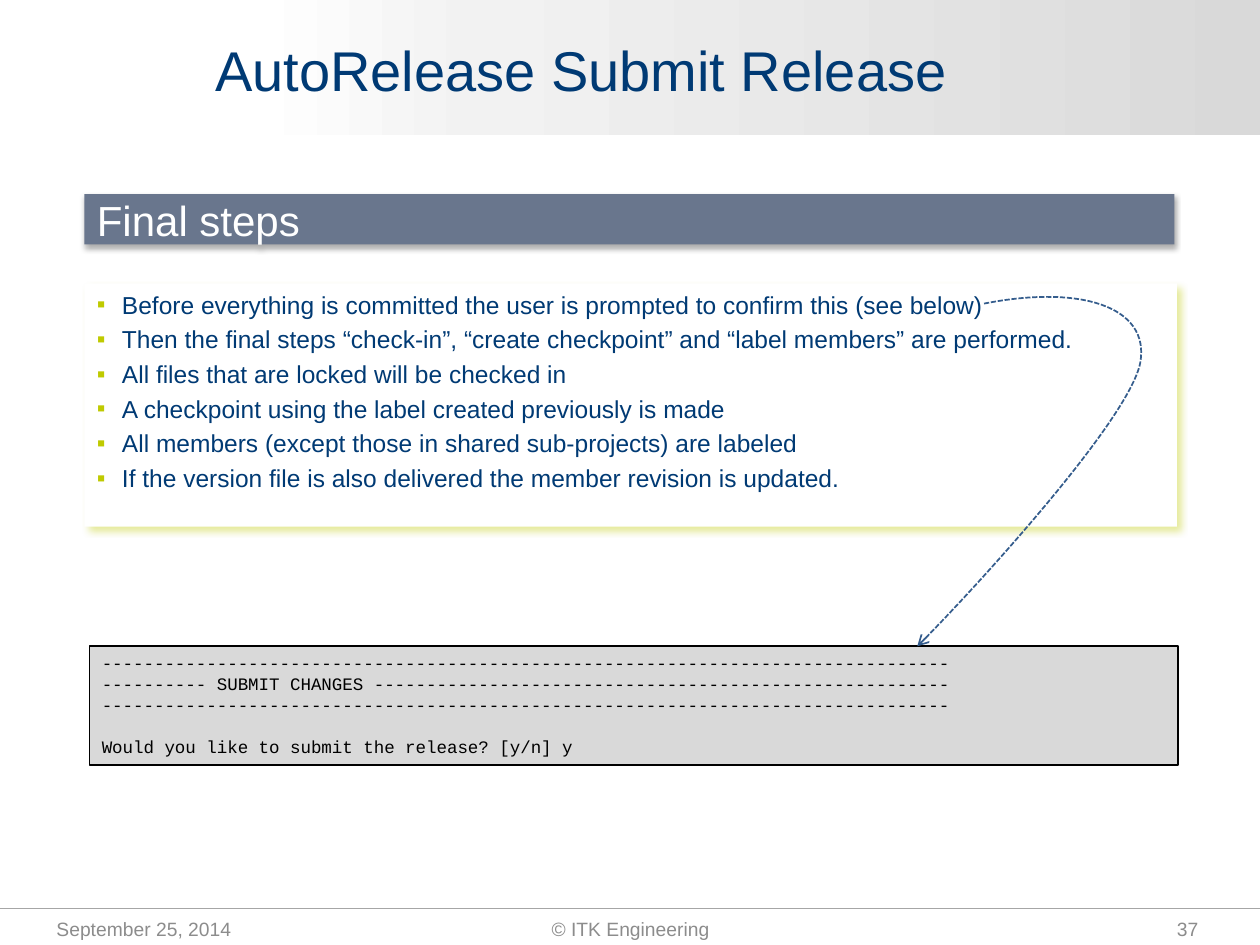
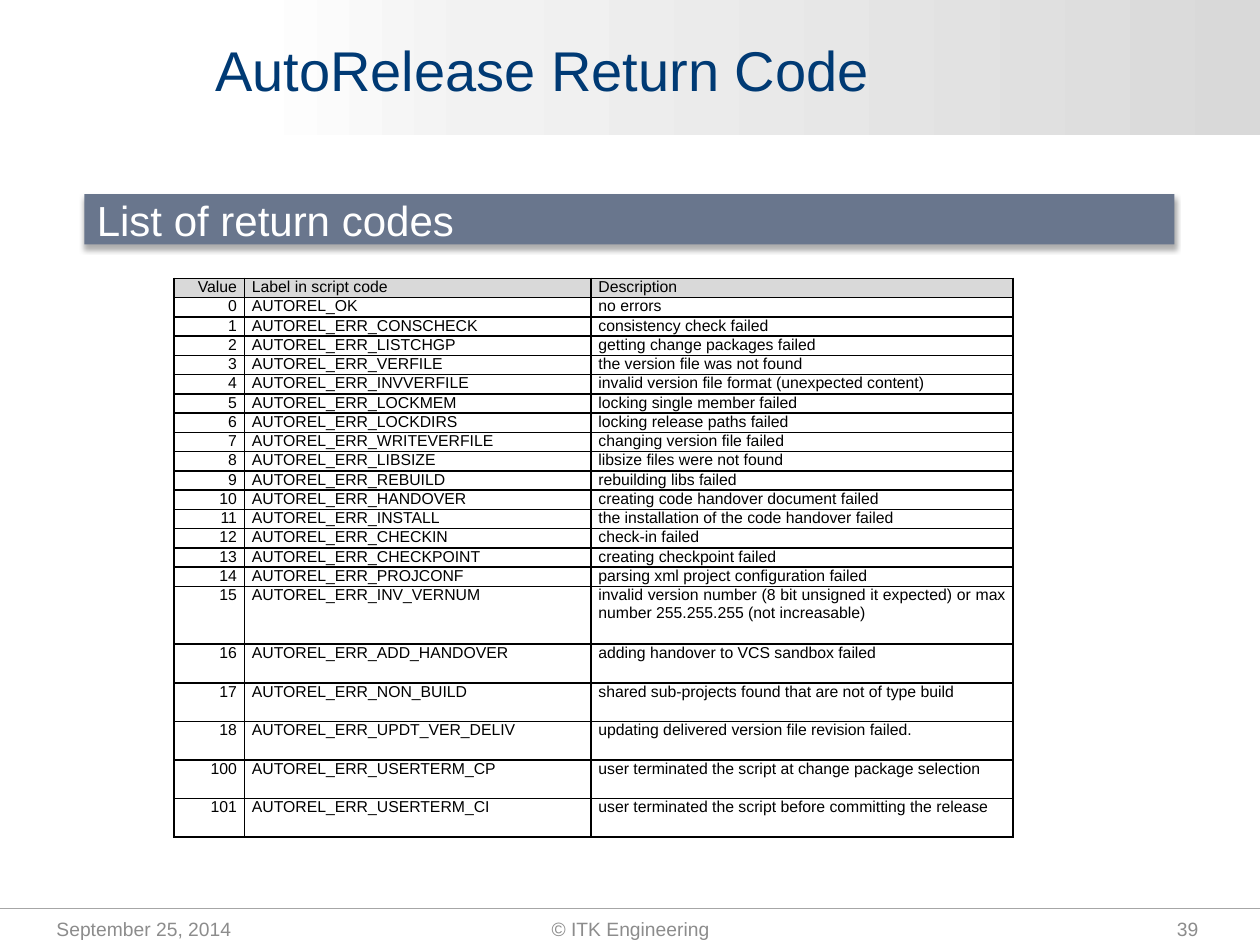
import copy
import dataclasses
import typing

import lxml.etree
import pptx
import pptx.dml.color
import pptx.enum.dml
import pptx.enum.shapes
import pptx.enum.text
import pptx.oxml.ns
import pptx.util

Inches = pptx.util.Inches
Pt = pptx.util.Pt
qn = pptx.oxml.ns.qn
ALIGN = pptx.enum.text.PP_ALIGN
ANCHOR = pptx.enum.text.MSO_ANCHOR
RECT = pptx.enum.shapes.MSO_SHAPE.RECTANGLE

NAVY, SLATE, LIME, BLUE = "003A74", "69768D", "BFCA00", "355D8D"
BLACK, WHITE, SILVER, GREY, RULE = "000000", "FFFFFF", "D9D9D9", "8C8C8C", "A6A6A6"


@dataclasses.dataclass(frozen=True)
class Box:
    left: float
    top: float
    width: float
    height: float

    def place(self) -> list:
        return [Inches(n) for n in dataclasses.astuple(self)]


@dataclasses.dataclass(frozen=True)
class Look:
    size: float
    ink: str
    face: str = "Arial"
    align: typing.Any = ALIGN.LEFT
    anchor: typing.Any = ANCHOR.MIDDLE
    pitch: typing.Optional[float] = None
    gap: float = 0
    bullet: str = ""


@dataclasses.dataclass(frozen=True)
class Shade:
    ink: str
    alpha: int
    blur: float
    dist: float
    angle: int


TITLE = Look(32, NAVY)
HEAD = Look(24, WHITE)
LIST = Look(14, NAVY, anchor=ANCHOR.TOP, pitch=16.8, gap=3, bullet=LIME)
CODE = Look(10, BLACK, "Courier New", anchor=ANCHOR.TOP, pitch=12)
CELL = Look(9, BLACK, align=ALIGN.JUSTIFY, anchor=ANCHOR.TOP)
COUNT = dataclasses.replace(CELL, align=ALIGN.RIGHT)
FOOT = Look(11, GREY)

HEAD_SHADE = Shade(BLACK, 32, 3.5, 2.2, 90)
LIST_SHADE = Shade(LIME, 40, 4, 3, 45)

STEPS = [
    "Before everything is committed the user is prompted to confirm this (see below)",
    "Then the final steps “check-in”, “create checkpoint” and “label members” are performed.",
    "All files that are locked will be checked in",
    "A checkpoint using the label created previously is made",
    "All members (except those in shared sub-projects) are labeled",
    "If the version file is also delivered the member revision is updated.",
]
DASHES = "-" * 81
PROMPT = [
    DASHES,
    "---------- SUBMIT CHANGES ".ljust(81, "-"),
    DASHES,
    "Would you like to submit the release? [y/n] y",
]

# Value, label after the common prefix, description, height in text lines
CODES = [
    (0, "OK", "no errors", 1),
    (1, "ERR_CONSCHECK", "consistency check failed", 1),
    (2, "ERR_LISTCHGP", "getting change packages failed", 1),
    (3, "ERR_VERFILE", "the version file was not found", 1),
    (4, "ERR_INVVERFILE", "invalid version file format (unexpected content)", 1),
    (5, "ERR_LOCKMEM", "locking single member failed", 1),
    (6, "ERR_LOCKDIRS", "locking release paths failed", 1),
    (7, "ERR_WRITEVERFILE", "changing version file failed", 1),
    (8, "ERR_LIBSIZE", "libsize files were not found", 1),
    (9, "ERR_REBUILD", "rebuilding libs failed", 1),
    (10, "ERR_HANDOVER", "creating code handover document failed", 1),
    (11, "ERR_INSTALL", "the installation of the code handover failed", 1),
    (12, "ERR_CHECKIN", "check-in failed", 1),
    (13, "ERR_CHECKPOINT", "creating checkpoint failed", 1),
    (14, "ERR_PROJCONF", "parsing xml project configuration failed", 1),
    (15, "ERR_INV_VERNUM", "invalid version number (8 bit unsigned it expected) "
     "or max number 255.255.255 (not increasable)", 3),
    (16, "ERR_ADD_HANDOVER", "adding handover to VCS sandbox failed", 2),
    (17, "ERR_NON_BUILD", "shared sub-projects found that are not of type build", 2),
    (18, "ERR_UPDT_VER_DELIV", "updating delivered version file revision failed.", 2),
    (100, "ERR_USERTERM_CP", "user terminated the script at change package selection", 2),
    (101, "ERR_USERTERM_CI", "user terminated the script before committing the release", 2),
]


def tint(code: str) -> pptx.dml.color.RGBColor:
    return pptx.dml.color.RGBColor.from_string(code)


def node(parent, tag: str, **attrs):
    """Append a drawing element to parent."""
    return lxml.etree.SubElement(parent, qn(tag), {k: str(v) for k, v in attrs.items()})


def fill(item, code: str) -> None:
    item.fill.solid()
    item.fill.fore_color.rgb = tint(code)


def stroke(item, code: str, width: float) -> None:
    item.line.color.rgb = tint(code)
    item.line.width = Pt(width)


def write(frame, lines: typing.Sequence[str], look: Look) -> None:
    frame.word_wrap = True
    frame.vertical_anchor = look.anchor
    for i, line in enumerate(lines):
        para = frame.add_paragraph() if i else frame.paragraphs[0]
        para.alignment = look.align
        if look.pitch:
            para.line_spacing = Pt(look.pitch)
        if i and look.gap:
            para.space_before = Pt(look.gap)
        if look.bullet:
            props = para._p.get_or_add_pPr()
            props.set("marL", str(Inches(0.2)))
            props.set("indent", str(-Inches(0.2)))
            node(node(props, "a:buClr"), "a:srgbClr", val=look.bullet)
            node(props, "a:buFont", typeface="Arial")
            node(props, "a:buChar", char="▪")
        run = para.add_run()
        run.text = line
        style = {"name": look.face, "size": Pt(look.size)}
        for key, value in style.items():
            setattr(run.font, key, value)
        run.font.color.rgb = tint(look.ink)


def label(slide, box: Box, text: str, look: Look) -> None:
    write(slide.shapes.add_textbox(*box.place()).text_frame, [text], look)


def panel(slide, box: Box, paint: str, shade: typing.Optional[Shade] = None):
    """Add a rectangle without outline, with a soft shadow if one is given."""
    shape = slide.shapes.add_shape(RECT, *box.place())
    shape.shadow.inherit = False
    fill(shape, paint)
    shape.line.fill.background()
    if shade:
        glow = node(shape.element.spPr.find(qn("a:effectLst")), "a:outerShdw",
                    blurRad=Pt(shade.blur), dist=Pt(shade.dist),
                    dir=shade.angle * 60000, algn="tl", rotWithShape=0)
        node(node(glow, "a:srgbClr", val=shade.ink), "a:alpha", val=shade.alpha * 1000)
    return shape


def banner(slide) -> None:
    """Draw the grey top band that fades to white on the left."""
    band = panel(slide, Box(0, -0.02, 10, 1.09), WHITE)
    band.fill.gradient()
    band.fill.gradient_angle = 180
    stops = band.element.spPr.find(".//" + qn("a:gsLst"))
    stops.append(copy.deepcopy(stops[0]))
    for stop, (spot, code) in zip(band.fill.gradient_stops,
                                  [(0, SILVER), (0.62, "F2F2F2"), (0.8, WHITE)]):
        stop.position = spot
        stop.color.rgb = tint(code)


def start(deck, title: str, head: str, page: int):
    """Add a slide with everything the slides share."""
    slide = deck.slides.add_slide(deck.slide_layouts[6])
    banner(slide)
    rule = slide.shapes.add_connector(pptx.enum.shapes.MSO_CONNECTOR.STRAIGHT,
                                      0, Inches(7.21), Inches(10), Inches(7.21))
    stroke(rule, RULE, 0.75)
    node(rule.element.spPr, "a:effectLst")
    label(slide, Box(1.61, 0.13, 8.03, 0.83), title, TITLE)
    for left, width, text, align in [
        (0.35, 2.33, "September 25, 2014", ALIGN.LEFT),
        (3.42, 3.17, "© ITK Engineering", ALIGN.CENTER),
        (7.28, 2.33, str(page), ALIGN.RIGHT),
    ]:
        label(slide, Box(left, 7.17, width, 0.4), text,
              dataclasses.replace(FOOT, align=align))
    bar = panel(slide, Box(0.67, 1.54, 8.65, 0.4), SLATE, HEAD_SHADE)
    write(bar.text_frame, [head], HEAD)
    return slide


def curve(slide, first: tuple, points: typing.Sequence[tuple]) -> None:
    """Draw a dashed arrow; every three points make one Bezier segment."""
    pen = slide.shapes.build_freeform(*map(Inches, first))
    pen.add_line_segments([(Inches(x), Inches(y)) for x, y in points], close=False)
    arrow = pen.convert_to_shape()
    arrow.shadow.inherit = False
    arrow.fill.background()
    stroke(arrow, BLUE, 1)
    arrow.line.dash_style = pptx.enum.dml.MSO_LINE.SQUARE_DOT
    node(arrow.element.spPr.find(qn("a:ln")), "a:tailEnd", type="arrow")
    legs = arrow.element.xpath(".//a:lnTo")
    trace = legs[0].getparent()
    for i in range(0, len(legs), 3):
        bend = node(trace, "a:cubicBezTo")
        for leg in legs[i:i + 3]:
            bend.append(leg[0])
            trace.remove(leg)


def border(cell) -> None:
    props = cell._tc.get_or_add_tcPr()
    for i, side in enumerate(["a:lnL", "a:lnR", "a:lnT", "a:lnB"]):
        edge = node(props, side, w=Pt(1))
        node(node(edge, "a:solidFill"), "a:srgbClr", val=BLACK)
        props.insert(i, edge)


def grid(slide) -> None:
    """Draw the table of return codes."""
    rows = [("Value", "Label in script code", "Description", 1)]
    rows += [(str(n), "AUTOREL_" + name, note, size) for n, name, note, size in CODES]
    box = Box(1.38, 2.21, 6.65, 4.44)
    table = slide.shapes.add_table(len(rows), 3, *box.place()).table
    table.first_row = table.horz_banding = False
    for col, width in zip(table.columns, [0.56, 2.75, 3.35]):
        col.width = Inches(width)
    unit = Inches(box.height) / sum(row[-1] for row in rows)
    inset = {"margin_left": Inches(0.06), "margin_right": Inches(0.06),
             "margin_top": 0, "margin_bottom": 0}
    for r, (*texts, size) in enumerate(rows):
        table.rows[r].height = int(unit * size)
        for c, text in enumerate(texts):
            cell = table.cell(r, c)
            for key, value in inset.items():
                setattr(cell, key, value)
            write(cell.text_frame, [text], CELL if c else COUNT)
            if r:
                cell.fill.background()
            else:
                fill(cell, SILVER)
            border(cell)


def submit(deck) -> None:
    slide = start(deck, "AutoRelease Submit Release", "Final steps", 37)
    prompt = panel(slide, Box(0.71, 5.13, 8.64, 0.94), SILVER)
    stroke(prompt, BLACK, 1)
    write(prompt.text_frame, PROMPT, CODE)
    prompt.text_frame.paragraphs[-1].space_before = Pt(CODE.pitch)
    steps = panel(slide, Box(0.67, 2.25, 8.67, 1.93), WHITE, LIST_SHADE)
    write(steps.text_frame, STEPS, LIST)
    curve(slide, (7.81, 2.41), [(8.57, 2.26), (9.13, 2.43), (9.05, 2.88),
                                (8.96, 3.34), (7.57, 4.85), (7.28, 5.13)])


def main() -> None:
    deck = pptx.Presentation()
    deck.slide_width, deck.slide_height = Inches(10), Inches(7.5)
    submit(deck)
    grid(start(deck, "AutoRelease Return Code", "List of return codes", 39))
    deck.save("out.pptx")


if __name__ == "__main__":
    main()
